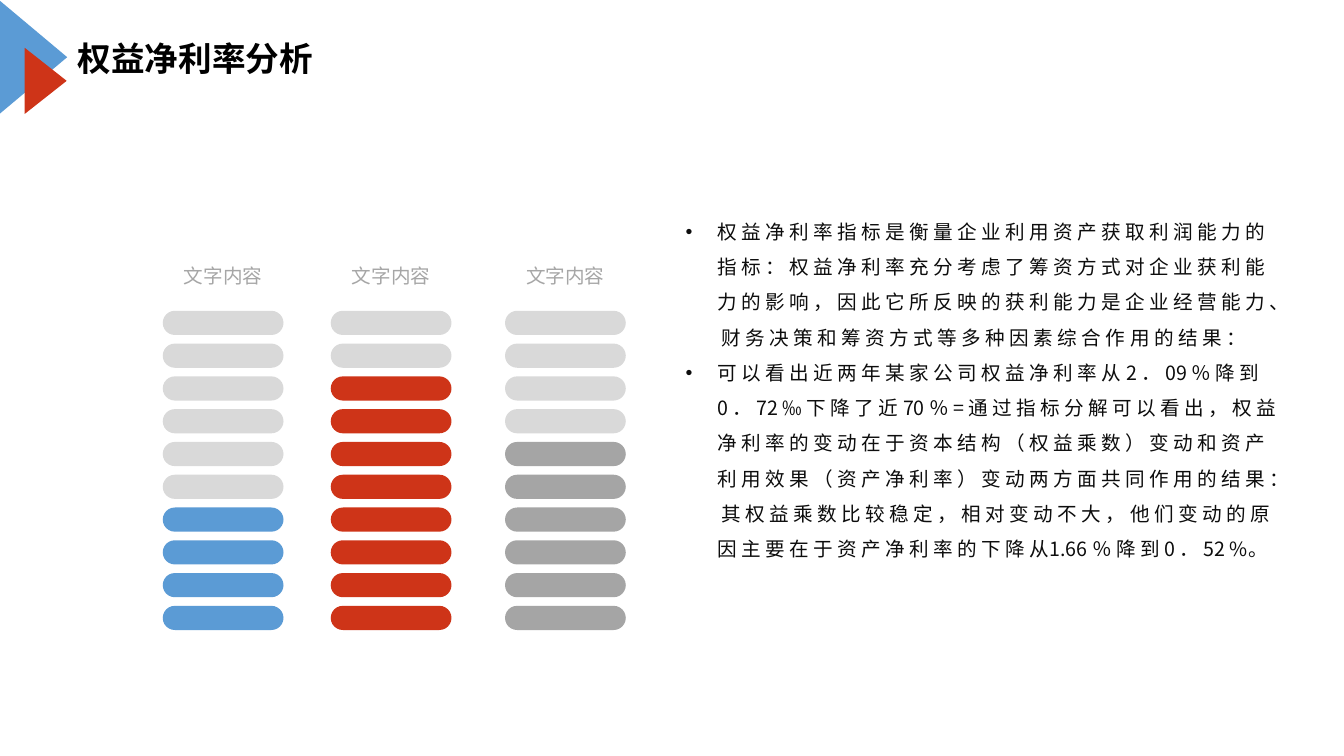
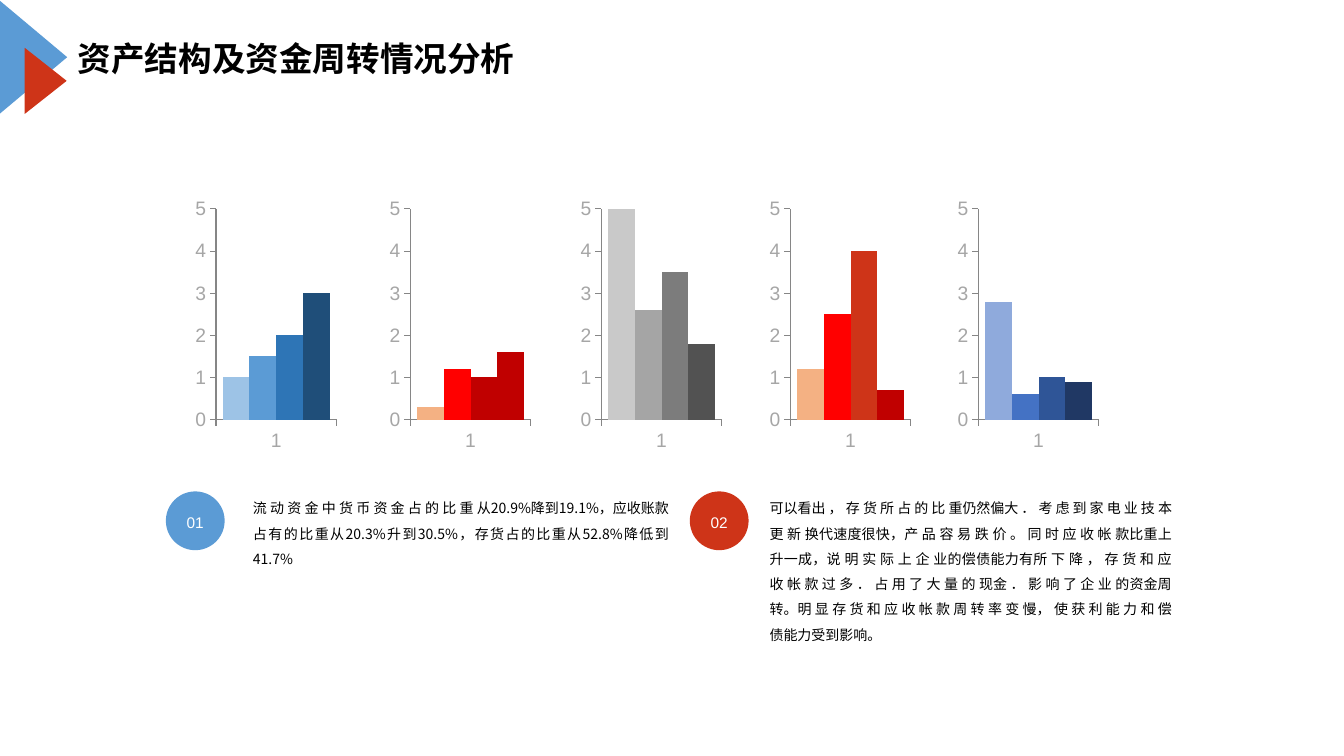
import dataclasses

import lxml.etree
import pptx
import pptx.chart.data
import pptx.dml.color
import pptx.enum.chart
import pptx.enum.shapes
import pptx.enum.text
import pptx.oxml
import pptx.oxml.ns
import pptx.util

SCALE = 9525
SHAPE = pptx.enum.shapes.MSO_SHAPE
ALIGN = pptx.enum.text.PP_ALIGN


@dataclasses.dataclass(frozen=True)
class Theme:
    blue: str = "5B9BD5"
    red: str = "CE3418"
    gray: str = "A5A5A5"
    pale: str = "D9D9D9"
    label: str = "A6A6A6"
    axis: str = "868686"
    black: str = "000000"
    ink: str = "0D0D0D"
    white: str = "FFFFFF"
    latin: str = "Arial"
    asian: str = "Noto Sans CJK SC"
    head: int = 24
    body: int = 14
    badge: int = 11
    note: int = 10


THEME = Theme()

METERS = [
    (155, THEME.blue, 4),
    (315, THEME.red, 8),
    (481, THEME.gray, 6),
]
POINTS = [
    "权 益 净 利 率 指 标 是 衡 量 企 业 利 用 资 产 获 取 利 润 能 力 的 指 标 ： 权 益 净 利 率 充 分 考 虑 了 筹 资 方 式 对 企 业 获 利 能 力 的 影 响 ， 因 此 它 所 反 映 的 获 利 能 力 是 企 业 经 营 能 力 、 财 务 决 策 和 筹 资 方 式 等 多 种 因 素 综 合 作 用 的 结 果 ：",
    "可 以 看 出 近 两 年 某 家 公 司 权 益 净 利 率 从 2 ． 09 ％ 降 到 0 ． 72 ‰ 下 降 了 近 70 ％ = 通 过 指 标 分 解 可 以 看 出 ， 权 益 净 利 率 的 变 动 在 于 资 本 结 构 （ 权 益 乘 数 ） 变 动 和 资 产 利 用 效 果 （ 资 产 净 利 率 ） 变 动 两 方 面 共 同 作 用 的 结 果 ： 其 权 益 乘 数 比 较 稳 定 ， 相 对 变 动 不 大 ， 他 们 变 动 的 原 因 主 要 在 于 资 产 净 利 率 的 下 降 从1.66 ％ 降 到 0 ． 52 %。",
]
CHARTS = [
    (186, [1, 1.5, 2, 3], ["9DC3E6", THEME.blue, "2E75B6", "1F4E79"]),
    (371, [0.3, 1.2, 1, 1.6], ["F4B183", "FF0000", "C00000", "C00000"]),
    (553, [5, 2.6, 3.5, 1.8], ["C9C9C9", THEME.gray, "7C7C7C", "525252"]),
    (733, [1.2, 2.5, 4, 0.7], ["F4B183", "FF0000", THEME.red, "C00000"]),
    (912, [2.8, 0.6, 1, 0.9], ["8FAADC", "4472C4", "2F5597", "203864"]),
]
NOTES = [
    ((158, 468, 479, 73), 83, "01", THEME.blue,
     "流 动 资 金 中 货 币 资 金 占 的 比 重 从20.9%降到19.1%，应收账款占有的比重从20.3%升到30.5%，存货占的比重从52.8%降低到41.7%"),
    ((657, 468, 459, 145), 76, "02", THEME.red,
     "可以看出 ， 存 货 所 占 的 比 重仍然偏大 ． 考 虑 到 家 电 业 技 本 更 新 换代速度很快，产 品 容 易 跌 价 。 同 时 应 收 帐 款比重上升一成，说 明 实 际 上 企 业的偿债能力有所 下 降 ， 存 货 和 应 收 帐 款 过 多 ． 占 用 了 大 量 的 现金 ． 影 响 了 企 业 的资金周转。明 显 存 货 和 应 收 帐 款 周 转 率 变 慢， 使 获 利 能 力 和 偿债能力受到影响。"),
]


def emu(px):
    return round(px * SCALE)


def place(box):
    return [emu(part) for part in box]


def rgb(color):
    return pptx.dml.color.RGBColor.from_string(color)


def style(para, size, color, font, bold=False):
    for run in para.runs:
        run.font.size = pptx.util.Pt(size)
        run.font.bold = bold
        run.font.color.rgb = rgb(color)
        run.font.name = font
        east = lxml.etree.SubElement(run._r.get_or_add_rPr(), pptx.oxml.ns.qn("a:ea"))
        east.set("typeface", THEME.asian)


def inset(frame, side, edge):
    frame.margin_left = frame.margin_right = emu(side)
    frame.margin_top = frame.margin_bottom = emu(edge)


def write(slide, box, text, size, color, font, align=ALIGN.LEFT,
          space=None, bold=False, wrap=True):
    frame = slide.shapes.add_textbox(*place(box)).text_frame
    inset(frame, 0, 0)
    frame.word_wrap = wrap
    frame.auto_size = pptx.enum.text.MSO_AUTO_SIZE.SHAPE_TO_FIT_TEXT
    frame.text = text
    for para in frame.paragraphs:
        para.alignment = align
        if space:
            para.line_spacing = space
        style(para, size, color, font, bold)
    return frame


def draw(slide, kind, box, color, turn=0):
    shape = slide.shapes.add_shape(kind, *place(box))
    shape.shadow.inherit = False
    shape.fill.solid()
    shape.fill.fore_color.rgb = rgb(color)
    shape.line.fill.background()
    shape.rotation = turn
    return shape


def start(deck, title):
    slide = deck.slides.add_slide(deck.slide_layouts[6])
    draw(slide, SHAPE.ISOSCELES_TRIANGLE, (-23, 22, 109, 65), THEME.blue, 90)
    write(slide, (74, 36, 32 * len(title), 38), title, THEME.head,
          THEME.black, THEME.asian, bold=True, wrap=False)
    draw(slide, SHAPE.ISOSCELES_TRIANGLE, (12, 57, 63, 40), THEME.red, 90)
    return slide


def meter(slide, box, color, level, count=10, bar=23, top=45):
    x, y, w, h = box
    write(slide, (x, y, w, bar), "文字内容", THEME.body, THEME.label,
          THEME.latin, ALIGN.CENTER)
    pitch = (h - top - bar) / (count - 1)
    for row in range(count):
        tint = color if row >= count - level else THEME.pale
        pill = draw(slide, SHAPE.ROUNDED_RECTANGLE,
                    (x, y + top + row * pitch, w, bar), tint)
        pill.adjustments[0] = 0.5


def points(slide, box, items):
    frame = write(slide, box, "\n".join(items), THEME.body, THEME.ink,
                  THEME.asian, space=1.5)
    inset(frame, 10, 5)
    for para in frame.paragraphs:
        props = para._p.get_or_add_pPr()
        props.set("marL", str(emu(30)))
        props.set("indent", str(-emu(30)))
        face = lxml.etree.SubElement(props, pptx.oxml.ns.qn("a:buFont"))
        face.set("typeface", THEME.latin)
        mark = lxml.etree.SubElement(props, pptx.oxml.ns.qn("a:buChar"))
        mark.set("char", "•")


def layout(chart, x, y, w, h):
    area = chart._chartSpace.chart.plotArea
    for old in area.findall(pptx.oxml.ns.qn("c:layout")):
        area.remove(old)
    parts = [("layoutTarget", "inner"), ("xMode", "edge"), ("yMode", "edge"),
             ("x", x), ("y", y), ("w", w), ("h", h)]
    inner = "".join(f'<c:{name} val="{value}"/>' for name, value in parts)
    area.insert(0, pptx.oxml.parse_xml(
        f'<c:layout {pptx.oxml.ns.nsdecls("c")}>'
        f"<c:manualLayout>{inner}</c:manualLayout></c:layout>"))


def graph(slide, box, values, colors):
    data = pptx.chart.data.CategoryChartData()
    data.categories = ["1"]
    for index, value in enumerate(values, 1):
        data.add_series(f"Series {index}", [value])
    kind = pptx.enum.chart.XL_CHART_TYPE.COLUMN_CLUSTERED
    chart = slide.shapes.add_chart(kind, *place(box), data).chart
    chart.has_legend = False
    chart.has_title = False
    chart.font.size = pptx.util.Pt(THEME.body)
    chart.font.name = THEME.latin
    chart.font.color.rgb = rgb(THEME.label)
    plot = chart.plots[0]
    plot.gap_width = 50
    plot.overlap = 0
    plot.vary_by_categories = False
    for series, color in zip(plot.series, colors):
        series.format.fill.solid()
        series.format.fill.fore_color.rgb = rgb(color)
    for axis in (chart.category_axis, chart.value_axis):
        axis.has_major_gridlines = False
        axis.major_tick_mark = pptx.enum.chart.XL_TICK_MARK.OUTSIDE
        axis.format.line.color.rgb = rgb(THEME.axis)
    chart.value_axis.minimum_scale = 0
    chart.value_axis.maximum_scale = 5
    chart.value_axis.major_unit = 1
    layout(chart, 0.13, 0.05, 0.86, 0.83)


def note(slide, box, gap, number, color, text):
    x, y, w, h = box
    write(slide, (x + gap, y, w - gap, h), text, THEME.note, THEME.black,
          THEME.asian, ALIGN.JUSTIFY, 1.5)
    frame = draw(slide, SHAPE.OVAL, (x, y, 56, 56), color).text_frame
    inset(frame, 0, 0)
    frame.vertical_anchor = pptx.enum.text.MSO_ANCHOR.MIDDLE
    frame.text = number
    para = frame.paragraphs[0]
    para.alignment = ALIGN.CENTER
    para.line_spacing = 1.2
    style(para, THEME.badge, THEME.white, THEME.latin)


def profit(deck):
    slide = start(deck, "权益净利率分析")
    for x, color, level in METERS:
        meter(slide, (x, 251, 115, 349), color, level)
    points(slide, (643, 193, 592, 417), POINTS)


def assets(deck):
    slide = start(deck, "资产结构及资金周转情况分析")
    for x, values, colors in CHARTS:
        graph(slide, (x, 187, 136, 243), values, colors)
    for item in NOTES:
        note(slide, *item)


def main():
    deck = pptx.Presentation()
    deck.slide_width = emu(1280)
    deck.slide_height = emu(720)
    profit(deck)
    assets(deck)
    deck.save("out.pptx")


if __name__ == "__main__":
    main()
